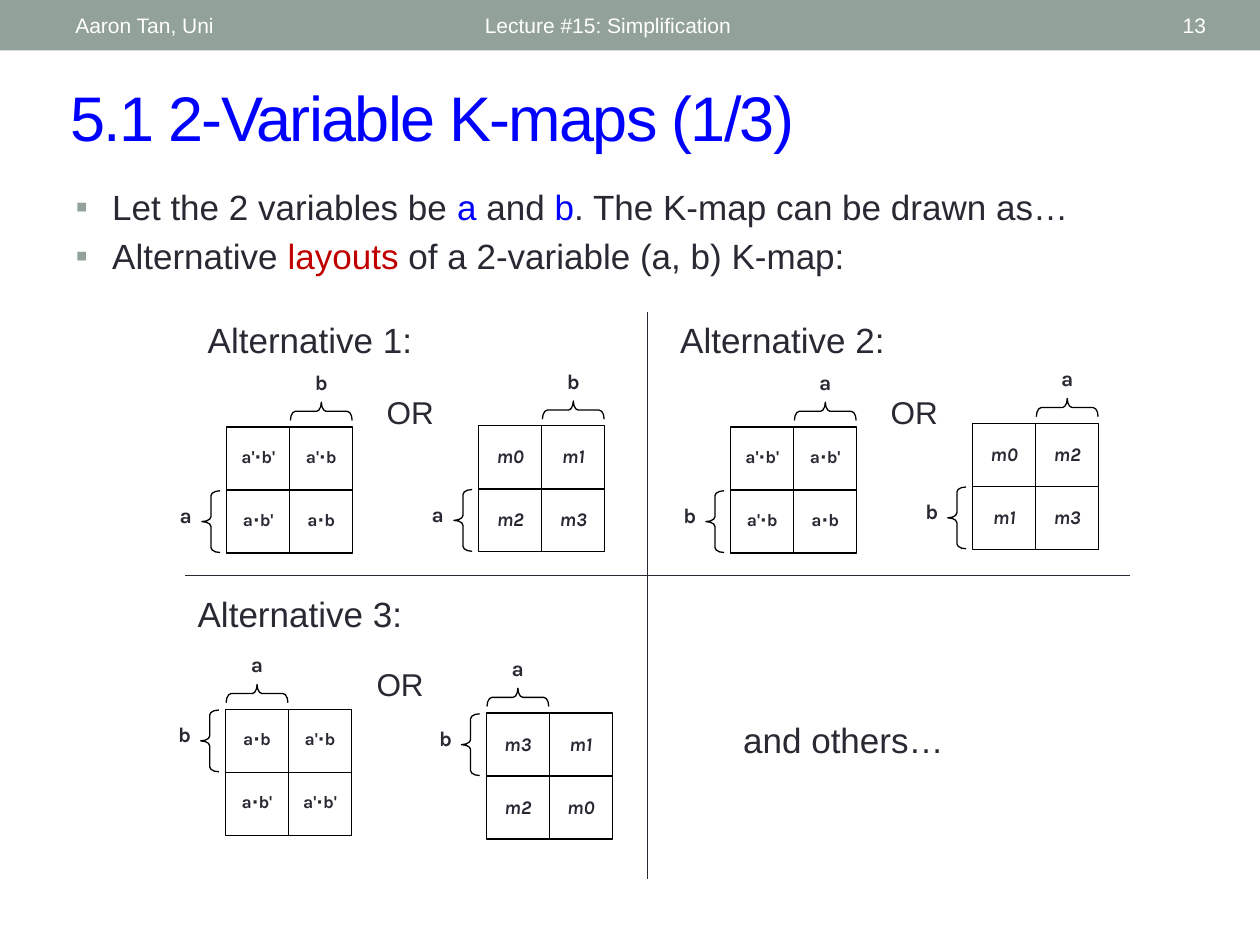
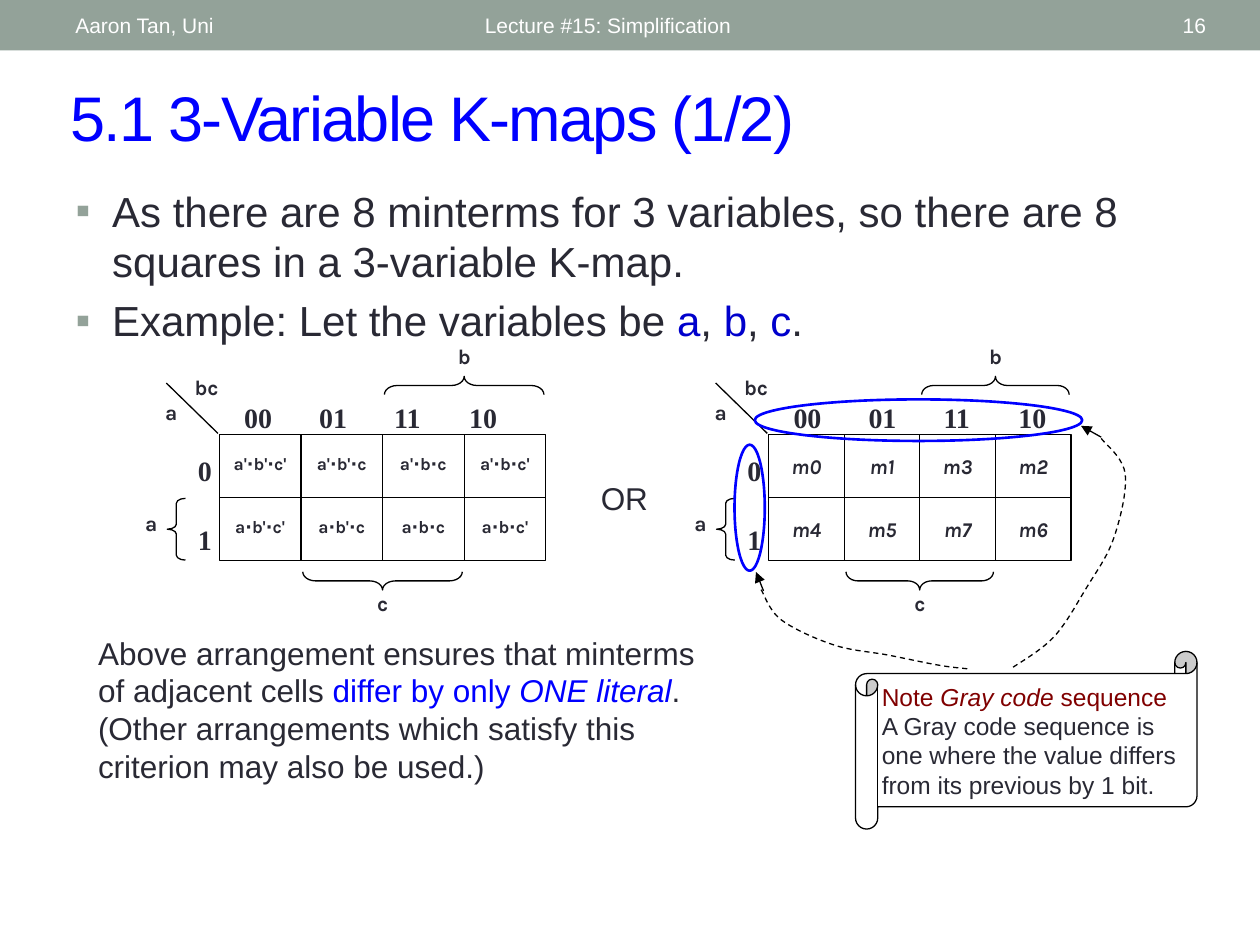
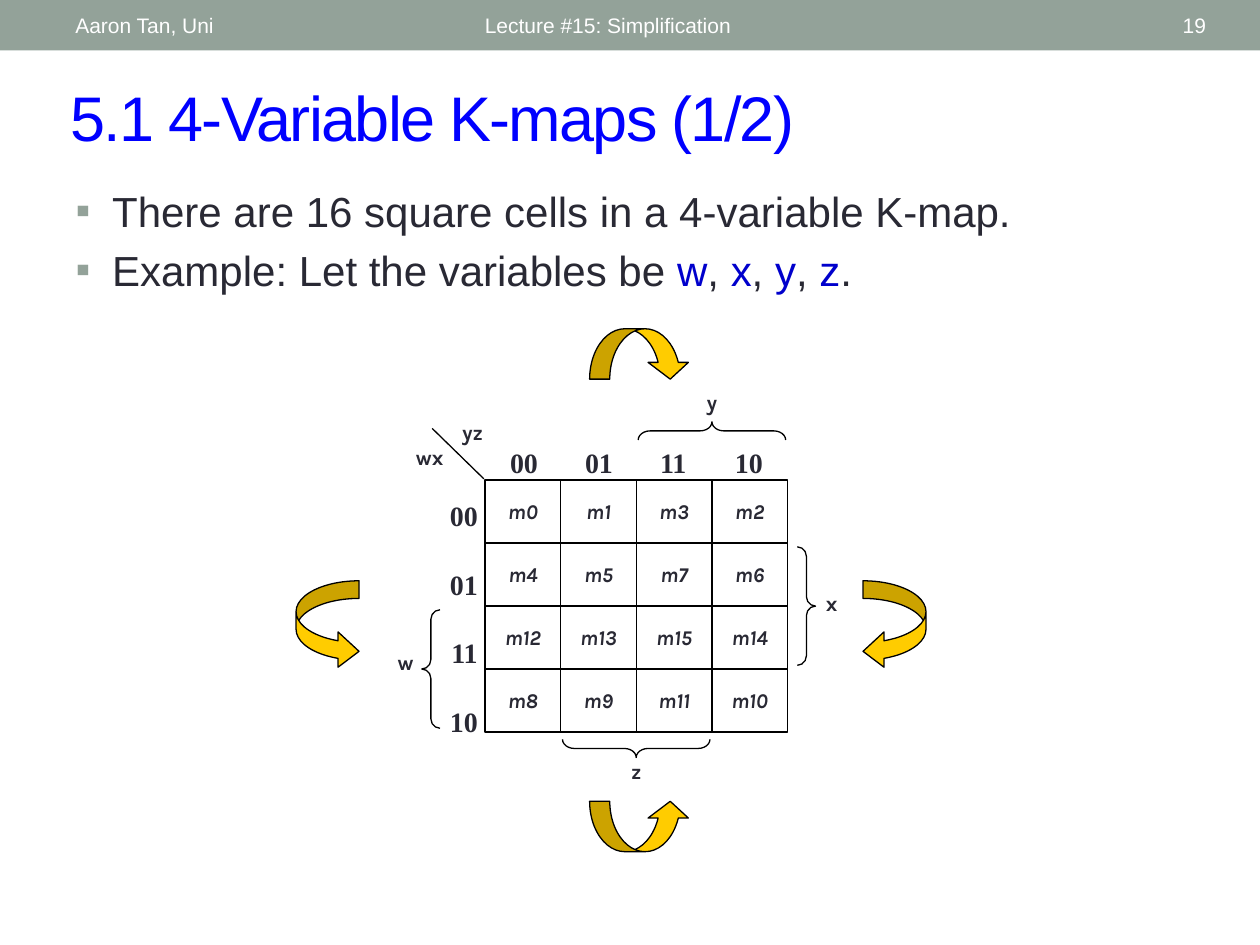
from dataclasses import dataclass

from pptx import Presentation
from pptx.dml.color import RGBColor
from pptx.enum.dml import MSO_LINE
from pptx.enum.shapes import MSO_CONNECTOR, MSO_SHAPE
from pptx.enum.text import MSO_ANCHOR, MSO_AUTO_SIZE, PP_ALIGN
from pptx.oxml import parse_xml
from pptx.oxml.ns import nsdecls, qn
from pptx.util import Inches, Pt

WIDTH, HEIGHT = Inches(10), Inches(7.5)
COLUMNS = 100
INK, BLACK, WHITE = "292934", "000000", "FFFFFF"
SAGE, BLUE, NAVY = "93A299", "0000FF", "0000CC"
RED, MAROON, GOLD = "C00000", "800000", "FFCC00"
SANS, LABEL, SERIF = "Arial", "Karla", "Times New Roman"
LEFT, CENTER, RIGHT = PP_ALIGN.LEFT, PP_ALIGN.CENTER, PP_ALIGN.RIGHT


def grid(*cells):
    return [round(WIDTH * cell / COLUMNS) for cell in cells]


def rgb(color):
    return RGBColor.from_string(color)


def drawing(tag, inner="", **attributes):
    listed = " ".join(f'{key}="{value}"' for key, value in attributes.items())
    return parse_xml(f"<a:{tag} {nsdecls('a')} {listed}>{inner}</a:{tag}>")


def write(frame, paragraphs, size, font=SANS, color=INK, bold=False,
          italic=False, align=LEFT, anchor=MSO_ANCHOR.TOP):
    frame.word_wrap = True
    frame.auto_size = MSO_AUTO_SIZE.NONE
    frame.vertical_anchor = anchor
    for index, parts in enumerate(paragraphs):
        paragraph = frame.add_paragraph() if index else frame.paragraphs[0]
        paragraph.alignment = align
        for part in [parts] if isinstance(parts, str) else parts:
            words, tint, slant = part if isinstance(part, tuple) else (part, color, italic)
            run = paragraph.add_run()
            run.text = words
            run.font.name, run.font.size = font, Pt(size)
            run.font.bold, run.font.italic = bold, slant
            run.font.color.rgb = rgb(tint)


def text(slide, box, paragraphs, size, **style):
    frame = slide.shapes.add_textbox(*grid(*box)).text_frame
    write(frame, paragraphs, size, **style)
    return frame


def label(slide, center, top, words):
    text(slide, (center - 2.6, top, 5.2, 3.6), [words], 12,
         font=LABEL, bold=True, align=CENTER)


def outline(shape, fill=None, color=BLACK, weight=0.75):
    shape.shadow.inherit = False
    if fill:
        shape.fill.solid()
        shape.fill.fore_color.rgb = rgb(fill)
    else:
        shape.fill.background()
    shape.line.color.rgb = rgb(color)
    shape.line.width = Pt(weight)
    return shape


def preset(slide, kind, box, adjust=(), flip=None, **style):
    shape = outline(slide.shapes.add_shape(kind, *grid(*box)), **style)
    for index, value in enumerate(adjust):
        shape.adjustments[index] = value
    if flip:
        shape.element.spPr.find(qn("a:xfrm")).set(flip, "1")
    return shape


def line(slide, start, end, color=BLACK, arrow=False):
    connector = slide.shapes.add_connector(MSO_CONNECTOR.STRAIGHT, *grid(*start, *end))
    connector.line.color.rgb = rgb(color)
    connector.line.width = Pt(0.75)
    properties = connector.element.spPr
    if arrow:
        properties.find(qn("a:ln")).append(drawing("tailEnd", type="triangle"))
    properties.append(drawing("effectLst"))


def dashed_curve(slide, knots, steps=10):
    ends = [knots[0], *knots, knots[-1]]
    points = [knots[0]]
    for p0, p1, p2, p3 in zip(ends, ends[1:], ends[2:], ends[3:]):
        for step in range(1, steps + 1):
            t = step / steps
            points.append(tuple(
                b + t * (c - a) / 2 + t * t * (2 * a - 5 * b + 4 * c - d) / 2
                + t ** 3 * (3 * b - a - 3 * c + d) / 2
                for a, b, c, d in zip(p0, p1, p2, p3)))
    builder = slide.shapes.build_freeform(*grid(*points[0]))
    builder.add_line_segments([grid(*point) for point in points[1:]], close=False)
    outline(builder.convert_to_shape()).line.dash_style = MSO_LINE.DASH


def brace(slide, side, x, y, length, words):
    depth = 1.45
    shape = preset(slide, MSO_SHAPE.LEFT_BRACE,
                   (x - depth / 2, y - length / 2, depth, length),
                   adjust=(0.08 * length / depth, 0.5))
    turn, shift, drop = {"left": (0, -2, -2), "right": (180, 2, -1.7),
                         "top": (90, 0, -3.8), "bottom": (270, 0, 0.3)}[side]
    shape.rotation = turn
    label(slide, x + shift, y + drop, words)


@dataclass
class KMap:
    slide: object
    left: float
    top: float
    column: float
    rows: list
    size: int = 12
    row: float = 5

    @property
    def right(self):
        return self.left + self.column * len(self.rows[0].split())

    @property
    def bottom(self):
        return self.top + self.row * len(self.rows)

    def draw(self):
        grid_rows = [cells.split() for cells in self.rows]
        preset(self.slide, MSO_SHAPE.RECTANGLE,
               (self.left, self.top, self.right - self.left, self.bottom - self.top))
        for index in range(1, len(grid_rows)):
            y = self.top + index * self.row
            line(self.slide, (self.left, y), (self.right, y))
        for index in range(1, len(grid_rows[0])):
            x = self.left + index * self.column
            line(self.slide, (x, self.top), (x, self.bottom))
        for r, cells in enumerate(grid_rows):
            for c, term in enumerate(cells):
                minterm = term.startswith("m")
                box = (self.left + c * self.column, self.top + r * self.row + 1,
                       self.column, 4)
                text(self.slide, box, [term], self.size if minterm else 10,
                     font=LABEL, bold=True, italic=minterm, align=CENTER)
        return self

    def brace(self, side, first, count, gap, words):
        if side in ("left", "right"):
            x = self.left - gap if side == "left" else self.right + gap
            y = self.top + (first + count / 2) * self.row
            length = count * self.row - (0.1 if count == 1 else 0.6)
        else:
            x = self.left + (first + count / 2) * self.column
            y = self.top - gap if side == "top" else self.bottom + gap
            length = count * self.column - (0.1 if count == 1 else 0.3)
        brace(self.slide, side, x, y, length, words)

    def codes(self, row_codes, row_name, column_name, row_shift):
        frame = text(self.slide,
                     (self.left - 4.1, self.top + 1, 4.5, self.row * len(row_codes)),
                     row_codes, 16, font=SERIF, bold=True, align=RIGHT)
        for paragraph in frame.paragraphs[1:]:
            paragraph.space_before = Pt(20)
        header = text(self.slide, (self.left + 1, self.top - 3.2, 24, 4),
                      ["00\t01\t11\t10"], 16, font=SERIF, bold=True)
        stops = "".join(f'<a:tab pos="{grid(5.95 * n)[0]}" algn="l"/>' for n in (1, 2, 3))
        header.paragraphs[0]._p.get_or_add_pPr().append(drawing("tabLst", stops))
        line(self.slide, (self.left - 0.1, self.top - 0.1), (self.left - 4.2, self.top - 4.1))
        label(self.slide, self.left - row_shift, self.top - 3.3, row_name)
        label(self.slide, self.left - 1, self.top - 5.3, column_name)


def add_band(slide):
    band = preset(slide, MSO_SHAPE.RECTANGLE, (0, 0, COLUMNS, 4), fill=SAGE)
    band.line.fill.background()
    band.element.nvSpPr.cNvPr.id = 99
    slide.slide_layout.shapes.element.insert(2, band.element)


def place(placeholder, box):
    placeholder.left, placeholder.top, placeholder.width, placeholder.height = grid(*box)
    return placeholder.text_frame


def new_slide(deck, number, title, bullets, size, body_height):
    slide = deck.slides.add_slide(deck.slide_layouts[1])
    if len(deck.slides) == 1:
        add_band(slide)
    heading = place(slide.shapes.title, (4.6, 5.7, 90.7, 7))
    write(heading, [title], 36, color=BLUE, anchor=MSO_ANCHOR.MIDDLE)
    heading.paragraphs[0].runs[0]._r.get_or_add_rPr().set("spc", "-100")
    body = place(slide.placeholders[1], (5, 14.2, 90, body_height))
    write(body, bullets, size)
    for paragraph in body.paragraphs:
        properties = paragraph._p.get_or_add_pPr()
        indent = grid(2.9)[0]
        properties.set("marL", str(indent))
        properties.set("indent", str(-indent))
        properties.append(drawing("buClr", f'<a:srgbClr val="{SAGE}"/>'))
        properties.append(drawing("buFont", typeface=SANS))
        properties.append(drawing("buChar", char="▪"))
    for left, width, words, align in ((37.5, 45, "Lecture #15: Simplification", LEFT),
                                      (87.2, 9.5, str(number), RIGHT),
                                      (5, 31.7, "Aaron Tan, Uni", LEFT)):
        text(slide, (left, 0.2, width, 3.6), [words], 12, color=WHITE,
             align=align, anchor=MSO_ANCHOR.MIDDLE)
    return slide


def variables(names):
    parts = ["Example: Let the variables be "]
    for name in names:
        parts += [(name, NAVY, False), ", "]
    return parts[:-1] + ["."]


def two_variable_slide(deck):
    slide = new_slide(deck, 13, "5.1 2-Variable K-maps (1/3)", [
        ["Let the 2 variables be ", ("a", BLUE, False), " and ", ("b", BLUE, False),
         ". The K-map can be drawn as…"],
        ["Alternative ", ("layouts", RED, False), " of a 2-variable (a, b) K-map:"],
    ], 20, 15)
    maps = [
        (18, 33.9, ["a'∙b' a'∙b", "a∙b' a∙b"], "b", "a", 1),
        (38, 33.8, ["m0 m1", "m2 m3"], "b", "a", 1),
        (58, 33.9, ["a'∙b' a∙b'", "a'∙b a∙b"], "a", "b", 1),
        (77.2, 33.6, ["m0 m2", "m1 m3"], "a", "b", 1),
        (17.9, 56.3, ["a∙b a'∙b", "a∙b' a'∙b'"], "a", "b", 0),
        (38.6, 56.6, ["m3 m1", "m2 m0"], "a", "b", 0),
    ]
    for left, top, rows, above, beside, braced in maps:
        kmap = KMap(slide, left, top, 5, rows, size=11).draw()
        kmap.brace("left", braced, 1, 1.25, beside)
        kmap.brace("top", braced, 1, 1.25, above)
    for number, left, top in ((1, 15.5, 24.8), (2, 53, 24.8), (3, 14.7, 46.5)):
        text(slide, (left, top, 19.5, 4), [f"Alternative {number}:"], 20)
    for left, top in ((29.7, 30.7), (69.7, 30.7), (28.9, 52.3)):
        text(slide, (left, top, 6.7, 4.3), ["OR"], 18)
    text(slide, (58, 56.5, 18.3, 4), ["and others…"], 20)
    line(slide, (14.7, 45.7), (89.7, 45.7), color=INK)
    line(slide, (51.4, 24.8), (51.4, 69.8), color=INK)


def gray_code_note(slide):
    line(slide, (60.6, 46.9), (60, 45.4), arrow=True)
    line(slide, (87.4, 34.7), (85.8, 33.8), arrow=True)
    preset(slide, MSO_SHAPE.HORIZONTAL_SCROLL, (67.9, 51.7, 27.1, 14.1),
           adjust=(0.125,), fill=WHITE)
    for box in ((58.3, 35.3, 2.4, 10), (59.9, 31.7, 26, 3.3)):
        preset(slide, MSO_SHAPE.OVAL, box, color=BLUE, weight=1.5)
    text(slide, (69, 53.6, 26, 10.8), [
        [("Note ", MAROON, False), ("Gray code", MAROON, True), (" sequence", MAROON, False)],
        "A Gray code sequence is one where the value differs from its previous by 1 bit.",
    ], 14)
    dashed_curve(slide, [(87.4, 34.8), (89.3, 37.6), (88.4, 42.7),
                         (86.2, 46.7), (83.6, 50.6), (80.2, 53.1)])
    dashed_curve(slide, [(60.4, 46.8), (62, 49.2), (66.2, 51.2),
                         (70.5, 52), (74.5, 52.8), (76.9, 53.1)])


def three_variable_slide(deck):
    slide = new_slide(deck, 16, "5.1 3-Variable K-maps (1/2)", [
        "As there are 8 minterms for 3 variables, so there are 8 squares in a 3-variable K-map.",
        variables("abc"),
    ], 24, 52.9)
    products = ["a'∙b'∙c' a'∙b'∙c a'∙b∙c a'∙b∙c'", "a∙b'∙c' a∙b'∙c a∙b∙c a∙b∙c'"]
    minterms = ["m0 m1 m3 m2", "m4 m5 m7 m6"]
    for left, column, rows in ((17.4, 6.48, products), (61, 6, minterms)):
        kmap = KMap(slide, left, 34.5, column, rows).draw()
        kmap.codes(["0", "1"], "a", "bc", 3.8)
        kmap.brace("left", 1, 1, 3.4, "a")
        kmap.brace("top", 2, 2, 3.9, "b")
        kmap.brace("bottom", 1, 2, 1.6, "c")
    text(slide, (46.7, 37.5, 6.7, 4.3), ["OR"], 18)
    gray_code_note(slide)
    text(slide, (6.8, 49.8, 50.6, 14.3), [[
        "Above arrangement ensures that minterms of adjacent cells ",
        ("differ by only ", BLUE, False), ("ONE literal", BLUE, True),
        ". (Other arrangements which satisfy this criterion may also be used.)",
    ]], 18)


def four_variable_slide(deck):
    slide = new_slide(deck, 19, "5.1 4-Variable K-maps (1/2)", [
        "There are 16 square cells in a 4-variable K-map.", variables("wxyz"),
    ], 24, 11.9)
    kmap = KMap(slide, 38.5, 38.1, 6, ["m0 m1 m3 m2", "m4 m5 m7 m6",
                                       "m12 m13 m15 m14", "m8 m9 m11 m10"]).draw()
    kmap.codes(["00", "01", "11", "10"], "wx", "yz", 4.4)
    kmap.brace("left", 2, 2, 4.3, "w")
    kmap.brace("top", 2, 2, 3.9, "y")
    kmap.brace("bottom", 1, 2, 1.3, "z")
    kmap.brace("right", 1, 2, 1.5, "x")
    for left, flip in ((23.5, None), (68.5, "flipH")):
        preset(slide, MSO_SHAPE.CURVED_RIGHT_ARROW, (left, 46.1, 5, 7),
               adjust=(0.28, 0.56, 0.333), flip=flip, fill=GOLD)
    for top, flip in ((63.6, None), (26.1, "flipV")):
        preset(slide, MSO_SHAPE.CURVED_UP_ARROW, (46.8, top, 8, 4),
               adjust=(0.4, 0.8, 0.333), flip=flip, fill=GOLD)


def main():
    deck = Presentation()
    deck.slide_width, deck.slide_height = WIDTH, HEIGHT
    two_variable_slide(deck)
    three_variable_slide(deck)
    four_variable_slide(deck)
    deck.save("out.pptx")


main()
